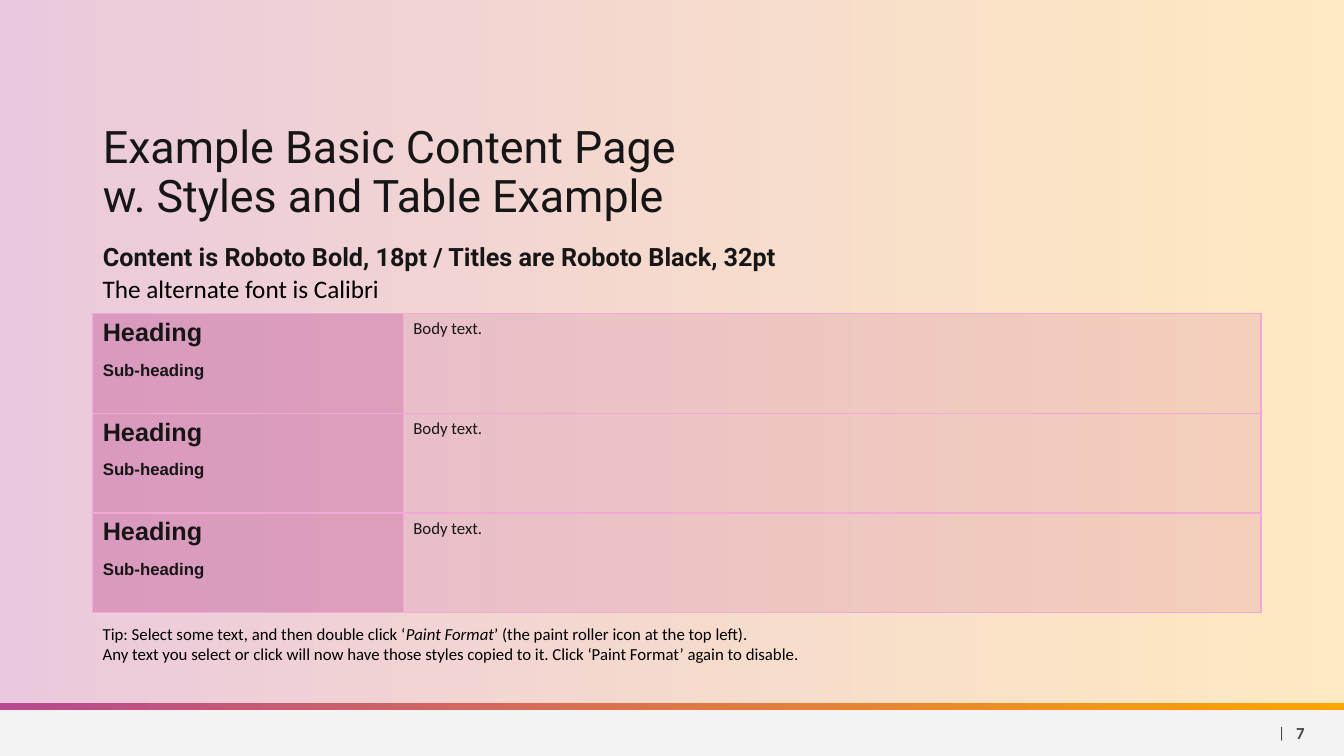
"""Build a content slide with a title, a styled table and a gradient theme."""
from lxml.etree import Element, SubElement
from pptx import Presentation
from pptx.dml.color import RGBColor as RGB
from pptx.enum.shapes import MSO_SHAPE as Form
from pptx.enum.text import MSO_ANCHOR as Anchor, MSO_AUTO_SIZE as Auto, PP_ALIGN as Align
from pptx.oxml.ns import qn
from pptx.util import Pt

HUES = {
    "plum": "BA478F", "gold": "FFA500", "pink": "F5A8D8", "ink": "171616",
    "black": "000000", "gray": "434343", "pale": "F3F3F3",
}
WIDE, TALL = 960, 540
LEFT, SPAN = 66.24, 834.5
STYLES = {
    "title": {"size": Pt(32), "name": "Roboto", "bold": False, "hue": "ink"},
    "lead": {"size": Pt(18), "name": "Roboto", "bold": True, "hue": "ink"},
    "alt": {"size": Pt(18), "name": "Calibri", "hue": "black"},
    "head": {"size": Pt(18), "name": "Arial", "bold": True, "hue": "ink"},
    "sub": {"size": Pt(12), "name": "Arial", "bold": True, "hue": "ink"},
    "body": {"size": Pt(12), "name": "Calibri", "bold": False, "hue": "ink"},
    "tip": {"size": Pt(12), "name": "Calibri", "hue": "black"},
    "slant": {"size": Pt(12), "name": "Calibri", "italic": True, "hue": "black"},
    "page": {"size": Pt(12), "name": "Calibri", "bold": True, "hue": "gray"},
    "mark": {"size": Pt(11), "name": "Calibri", "hue": "gray"},
}


def tint(hue):
    return RGB.from_string(HUES[hue])


def style(font, kind):
    for key, value in STYLES[kind].items():
        if key == "hue":
            font.color.rgb = tint(value)
        else:
            setattr(font, key, value)


def write(para, *runs):
    for text, kind in runs:
        for step, line in enumerate(text.split("\n")):
            if step:
                para.add_line_break()
            run = para.add_run()
            run.text = line
            style(run.font, kind)


def fade(node, *rates):
    for color, rate in zip(list(node.iter(qn("a:srgbClr"))), rates):
        SubElement(color, qn("a:alpha"), val=str(rate * 1000))


def add_bar(slide, top, high, *hues):
    bar = slide.shapes.add_shape(Form.RECTANGLE, 0, Pt(top), Pt(WIDE), Pt(high))
    bar.shadow.inherit = False
    bar.line.fill.background()
    if len(hues) == 1:
        bar.fill.solid()
        bar.fill.fore_color.rgb = tint(hues[0])
    else:
        bar.fill.gradient()
        bar.fill.gradient_angle = 0
        for spot, (stop, hue) in enumerate(zip(bar.fill.gradient_stops, hues)):
            stop.position = spot
            stop.color.rgb = tint(hue)
    return bar


def add_text(slide, box, *runs, align=Align.LEFT, anchor=Anchor.TOP):
    frame = slide.shapes.add_textbox(*map(Pt, box)).text_frame
    frame.word_wrap = True
    frame.vertical_anchor = anchor
    frame.paragraphs[0].alignment = align
    write(frame.paragraphs[0], *runs)


def fill_holder(holder, box, text, kind, anchor):
    holder.left, holder.top, holder.width, holder.height = map(Pt, box)
    frame = holder.text_frame
    frame.auto_size = Auto.NONE
    frame.vertical_anchor = anchor
    para = frame.paragraphs[0]
    form = {"alignment": Align.LEFT, "line_spacing": 0.9, "space_before": Pt(0)}
    for key, value in form.items():
        setattr(para, key, value)
    write(para, (text, kind))
    props = para._p.get_or_add_pPr()
    props.set("marL", "0")
    props.set("indent", "0")
    SubElement(props, qn("a:buNone"))


def edge(cell):
    props = cell._tc.get_or_add_tcPr()
    for spot, side in enumerate(("lnL", "lnR", "lnT", "lnB")):
        line = Element(qn("a:" + side), w=str(Pt(1)))
        fill = SubElement(line, qn("a:solidFill"))
        SubElement(fill, qn("a:srgbClr"), val=HUES["pink"])
        props.insert(spot, line)


def fill_cell(cell, rate, *lines):
    cell.fill.solid()
    cell.fill.fore_color.rgb = tint("plum")
    fade(cell._tc.tcPr, rate)
    edge(cell)
    frame = cell.text_frame
    for spot, line in enumerate(lines):
        para = frame.add_paragraph() if spot else frame.paragraphs[0]
        para.space_before = Pt(10 * spot)
        write(para, line)


def add_grid(slide, top, cols, count, high):
    grid = slide.shapes.add_table(
        count, len(cols), Pt(LEFT), Pt(top), Pt(sum(cols)), Pt(count * high)).table
    for col, wide in zip(grid.columns, cols):
        col.width = Pt(wide)
    for row in grid.rows:
        row.height = Pt(high)
        name, note = row.cells
        fill_cell(name, 37, ("Heading", "head"), ("Sub-heading", "sub"))
        fill_cell(note, 15, ("Body text.", "body"))


def main():
    deck = Presentation()
    deck.slide_width, deck.slide_height = Pt(WIDE), Pt(TALL)
    slide = deck.slides.add_slide(deck.slide_layouts[1])
    title, lead = slide.placeholders

    wash = add_bar(slide, 0, 504, "plum", "gold")
    fade(wash.element.spPr, 30, 24)
    wash.element.getparent().insert(2, wash.element)
    add_bar(slide, 507, 33, "pale")
    add_bar(slide, 502.5, 4.5, "plum", "gold")
    add_text(slide, (918.7, 509, 59, 29), ("7", "page"), anchor=Anchor.MIDDLE)
    add_text(slide, (905.8, 508.3, 18.7, 29), ("|", "mark"),
             align=Align.RIGHT, anchor=Anchor.MIDDLE)

    fill_holder(title, (LEFT, 36, SPAN, 126),
                "Example Basic Content Page\nw. Styles and Table Example",
                "title", Anchor.BOTTOM)
    fill_holder(lead, (LEFT, 171.4, SPAN, 290.9),
                "Content is Roboto Bold, 18pt / Titles are Roboto Black, 32pt",
                "lead", Anchor.TOP)
    add_grid(slide, 223.9, (221.8, 612.7), 3, 71.3)
    add_text(slide, (LEFT, 442, SPAN, 36),
             ("Tip: Select some text, and then double click ‘", "tip"),
             ("Paint Format", "slant"),
             ("’ (the paint roller icon at the top left).\n"
              "Any text you select or click will now have those styles copied to it. "
              "Click ‘Paint Format’ again to disable.", "tip"))
    add_text(slide, (LEFT, 191.5, SPAN, 29), ("The alternate font is Calibri", "alt"))
    deck.save("out.pptx")


if __name__ == "__main__":
    main()
